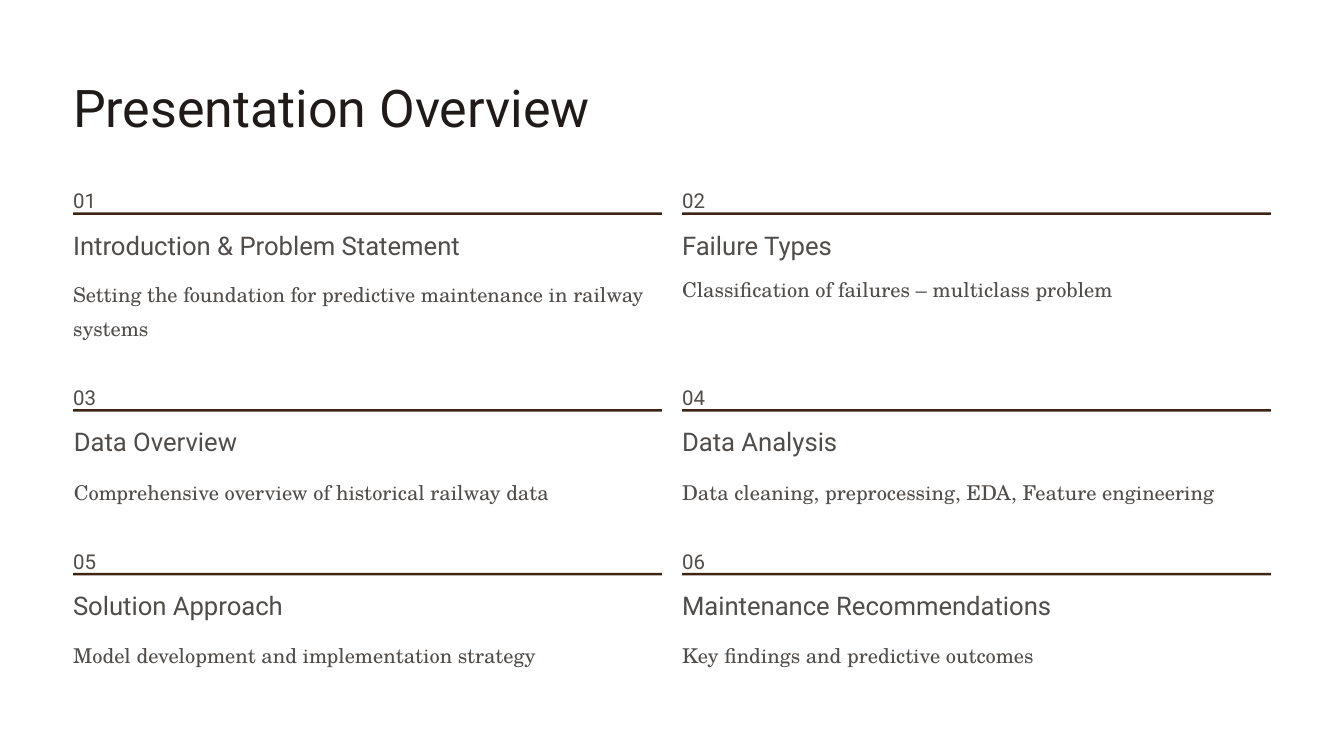
from pptx import Presentation
from pptx.dml.color import RGBColor
from pptx.enum.shapes import MSO_SHAPE as Shape
from pptx.util import Inches, Pt

SANS, SERIF = "Roboto", "TeX Gyre Schola"
INK, GREY, BROWN, WHITE = "201B18", "504C49", "3E2513", "FFFFFF"


def write(shapes, text, x, y, w, h, size, lead, font=SANS, color=GREY):
    box = shapes.add_textbox(Inches(x), Inches(y), Inches(w), Inches(h))
    frame = box.text_frame
    frame.margin_left = frame.margin_right = 0
    frame.margin_top = frame.margin_bottom = 0
    frame.word_wrap = True
    para = frame.paragraphs[0]
    para.line_spacing = Pt(lead)
    run = para.add_run()
    run.text = text
    run.font.size = Pt(size)
    run.font.name = font
    run.font.color.rgb = RGBColor.from_string(color)


def block(shapes, x, y, w, h, color):
    rect = shapes.add_shape(Shape.RECTANGLE, Inches(x), Inches(y), Inches(w), Inches(h))
    rect.shadow.inherit = False
    rect.fill.solid()
    rect.fill.fore_color.rgb = RGBColor.from_string(color)
    rect.line.fill.background()


deck = Presentation()
deck.slide_width, deck.slide_height = Inches(16), Inches(9)
slide = deck.slides.add_slide(deck.slide_layouts[6])

# White page and title
block(slide.shapes, 0, 0, 16, 9, WHITE)
write(slide.shapes, "Presentation Overview", 0.87, 0.87, 6.97, 0.78, 44.5, 55.5, color=INK)

# Topics in reading order: heading, detail, detail offset, detail height, text indent
topics = [
    ("Introduction & Problem Statement",
     "Setting the foundation for predictive maintenance in railway systems", 1.12, 0.79, 0),
    ("Failure Types", "Classification of failures – multiclass problem", 1.06, 0.4, 0),
    ("Data Overview", "Comprehensive overview of historical railway data", 1.13, 0.4, 0.01),
    ("Data Analysis", "Data cleaning, preprocessing, EDA, Feature engineering", 1.13, 0.4, 0),
    ("Solution Approach", "Model development and implementation strategy", 1.12, 0.4, 0),
    ("Maintenance Recommendations", "Key findings and predictive outcomes", 1.12, 0.4, 0),
]
lefts = [0.87, 8.12]
tops = [2.14, 4.48, 6.43]
wide = 7.01

# Grid of numbered topics
for i, (head, detail, drop, tall, indent) in enumerate(topics):
    x, y = lefts[i % 2], tops[i // 2]
    shapes = slide.shapes.add_group_shape().shapes
    write(shapes, f"{i + 1:02}", x, y, 0.4, 0.31, 17.5, 28.5)
    block(shapes, x, y + 0.39, wide, 0.03, BROWN)
    write(shapes, head, x + indent, y + 0.58, 5, 0.39, 22, 27.5)
    write(shapes, detail, x + indent, y + drop, wide, tall, 17.5, 28.5, SERIF)

deck.save("out.pptx")
